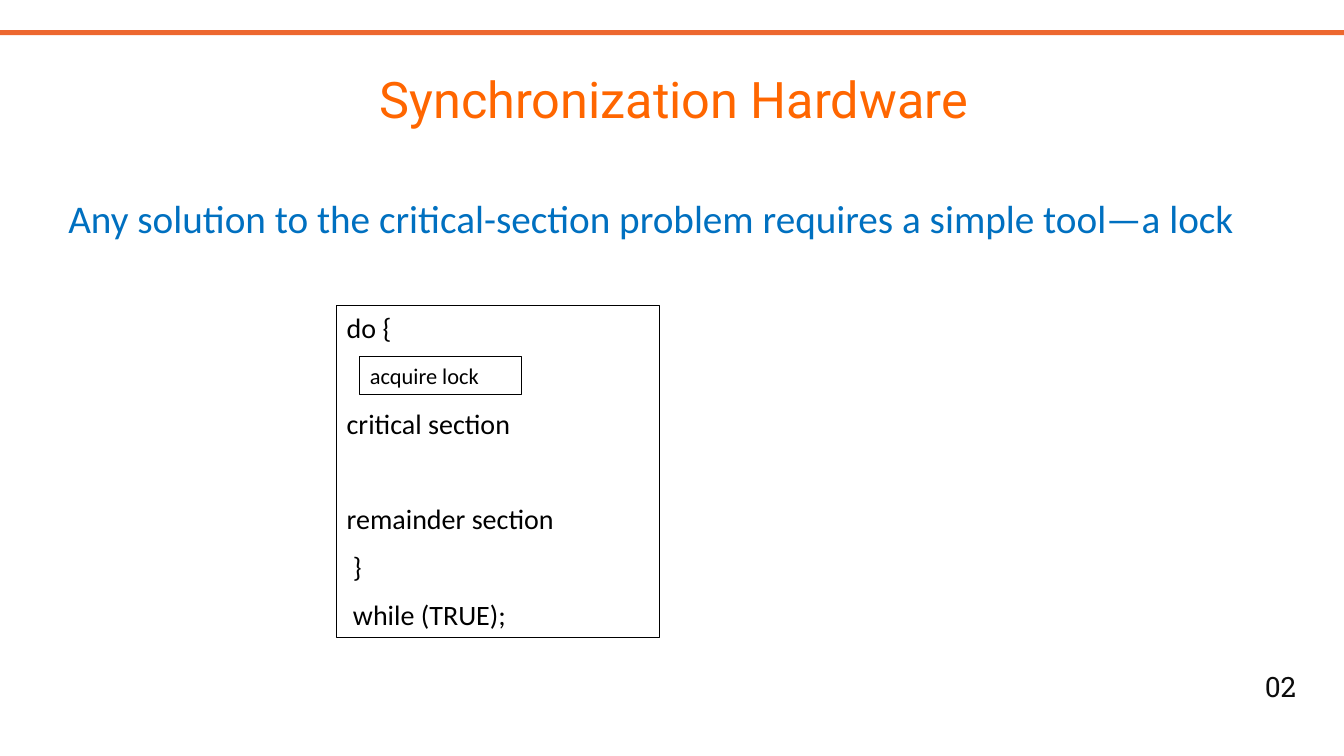
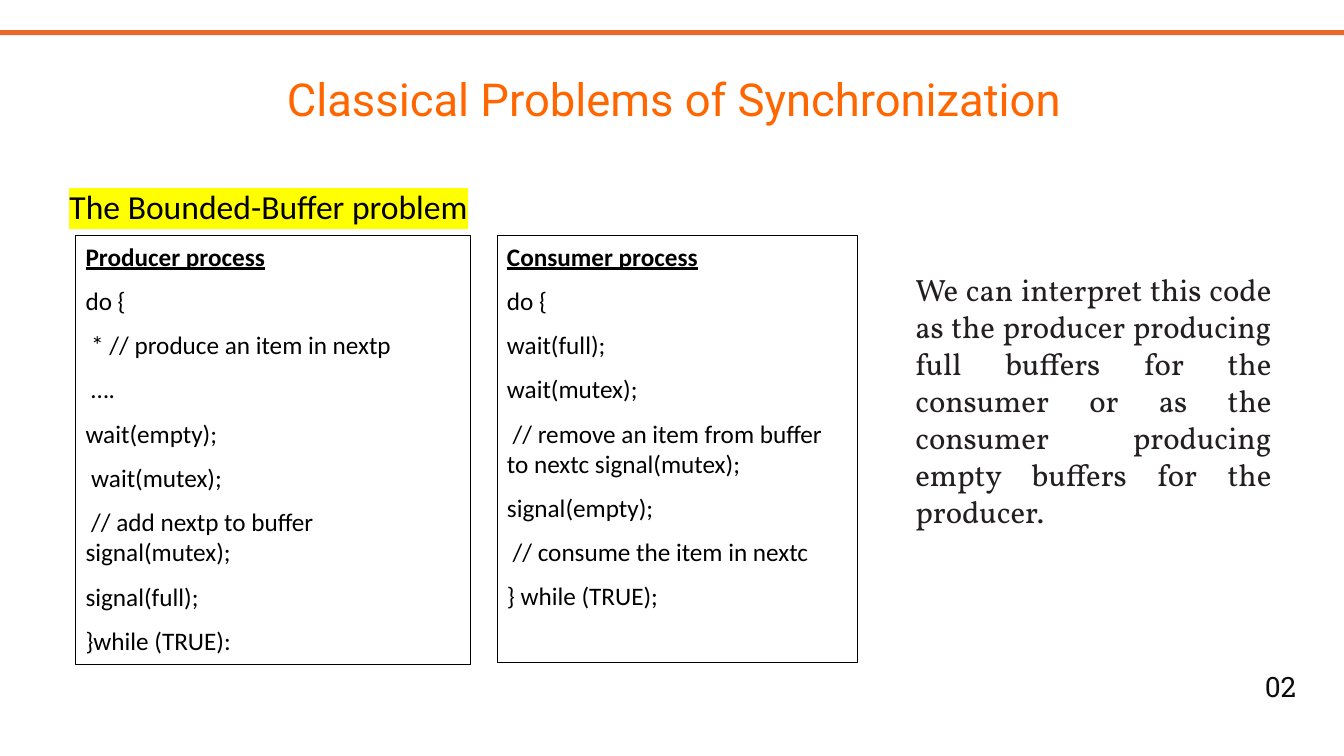
from lxml.etree import SubElement
from pptx import Presentation
from pptx.dml.color import RGBColor
from pptx.enum.shapes import MSO_SHAPE
from pptx.enum.text import MSO_ANCHOR, PP_ALIGN
from pptx.oxml.ns import qn
from pptx.util import Pt

PX = 9144
WIDE, HIGH = 1333, 750
BAND = RGBColor(0xED, 0x68, 0x2F)
ORANGE = RGBColor(0xFF, 0x66, 0x00)
BLUE = RGBColor(0x00, 0x70, 0xC0)
BLACK = RGBColor(0x00, 0x00, 0x00)
WHITE = RGBColor(0xFF, 0xFF, 0xFF)
INK = RGBColor(0x0D, 0x0D, 0x0D)
DARK = RGBColor(0x23, 0x1F, 0x20)
YELLOW = RGBColor(0xFF, 0xFF, 0x00)
BODY = "Calibri"
HEAD = "Roboto"
SLAB = "Roboto Slab"
SERIF = "Vollkorn"
LOCK = ["do {", "critical section", "remainder section", " }", " while (TRUE);"]
MAKER = ["Producer process", "do {", " * // produce an item in nextp", " ….",
         "wait(empty);", " wait(mutex);", " // add nextp to buffer signal(mutex);",
         "signal(full);", "}while (TRUE):"]
USER = ["Consumer process", "do {", "wait(full);", "wait(mutex);",
        " // remove an item from buffer to nextc signal(mutex);",
        "signal(empty);", " // consume the item in nextc", "} while (TRUE);"]


def scale(*box):
    """Turn px lengths into EMU."""
    return [n * PX for n in box]


def style(para, size, color, face=BODY, align=PP_ALIGN.LEFT):
    """Set the alignment and font of a paragraph's runs."""
    para.alignment = align
    for run in para.runs:
        font = run.font
        font.size, font.name = Pt(size), face
        font.color.rgb = color


def add_rect(slide, box, fill, line=None):
    """Draw a flat rectangle, outlined if a line colour is given."""
    rect = slide.shapes.add_shape(MSO_SHAPE.RECTANGLE, *scale(*box))
    rect.shadow.inherit = False
    rect.fill.solid()
    rect.fill.fore_color.rgb = fill
    if line is None:
        rect.line.fill.background()
    else:
        rect.line.color.rgb = line
        rect.line.width = Pt(0.75)
    return rect


def add_text(slide, box, text, size, color, face=BODY, align=PP_ALIGN.LEFT):
    """Add a wrapped one-paragraph text box and return its frame."""
    frame = slide.shapes.add_textbox(*scale(*box)).text_frame
    frame.word_wrap = True
    frame.text = text
    style(frame.paragraphs[0], size, color, face, align)
    return frame


def add_code(slide, box, lines, size, skips=(), titled=False):
    """Add a framed listing, with a line's gap above each skipped index."""
    frame = add_rect(slide, box, WHITE, BLACK).text_frame
    frame.word_wrap = True
    frame.vertical_anchor = MSO_ANCHOR.TOP
    frame.text = "\n".join(lines)
    for i, para in enumerate(frame.paragraphs):
        style(para, size, BLACK)
        para.space_after = Pt(10)
        if i in skips:
            para.space_before = Pt(size * 1.22 + 10)
    if titled:
        font = frame.paragraphs[0].runs[0].font
        font.bold = font.underline = True


def mark(run, color):
    """Highlight a run."""
    props = run.font._element
    light = SubElement(props, qn("a:highlight"))
    SubElement(light, qn("a:srgbClr"), val=str(color))
    props.find(qn("a:solidFill")).addnext(light)


def add_slide(deck, title, size):
    """Add a slide with the shared band, number and title."""
    slide = deck.slides.add_slide(deck.slide_layouts[6])
    add_rect(slide, (0, 30, WIDE, 5), BAND)
    number = add_text(slide, (1244, 659, 52, 44), "02", 20, INK, SLAB, PP_ALIGN.CENTER)
    number.word_wrap = False
    frame = add_text(slide, (262, 35, 813, 125), title, size, ORANGE, HEAD, PP_ALIGN.CENTER)
    frame.vertical_anchor = MSO_ANCHOR.MIDDLE
    return slide


def add_lock(deck):
    """Build the slide on locks."""
    slide = add_slide(deck, "Synchronization Hardware", 36)
    add_text(slide, (58, 188, 1207, 57),
             "Any solution to the critical-section problem requires a simple tool—a lock",
             28, BLUE)
    add_code(slide, (334, 303, 320, 330), LOCK, 20, skips=(1, 2))
    add_code(slide, (357, 354, 160, 37), ["acquire lock"], 16)


def add_buffer(deck):
    """Build the slide on the bounded buffer."""
    slide = add_slide(deck, "Classical Problems of Synchronization", 32.4)
    frame = add_text(slide, (59, 160, 858, 64), "The Bounded-Buffer problem", 24, BLACK)
    para = frame.paragraphs[0]
    para.line_spacing = 1.5
    mark(para.runs[0], YELLOW)
    add_code(slide, (75, 234, 392, 425), MAKER, 18, titled=True)
    add_code(slide, (493, 234, 358, 423), USER, 18, titled=True)
    add_text(slide, (898, 264, 373, 269),
             "We can interpret this code as the producer producing full buffers for the "
             "consumer or as the consumer producing empty buffers for the producer.",
             22, DARK, SERIF, PP_ALIGN.JUSTIFY)


def main():
    """Build and save the deck."""
    deck = Presentation()
    deck.slide_width, deck.slide_height = scale(WIDE, HIGH)
    add_lock(deck)
    add_buffer(deck)
    deck.save("out.pptx")


if __name__ == "__main__":
    main()
